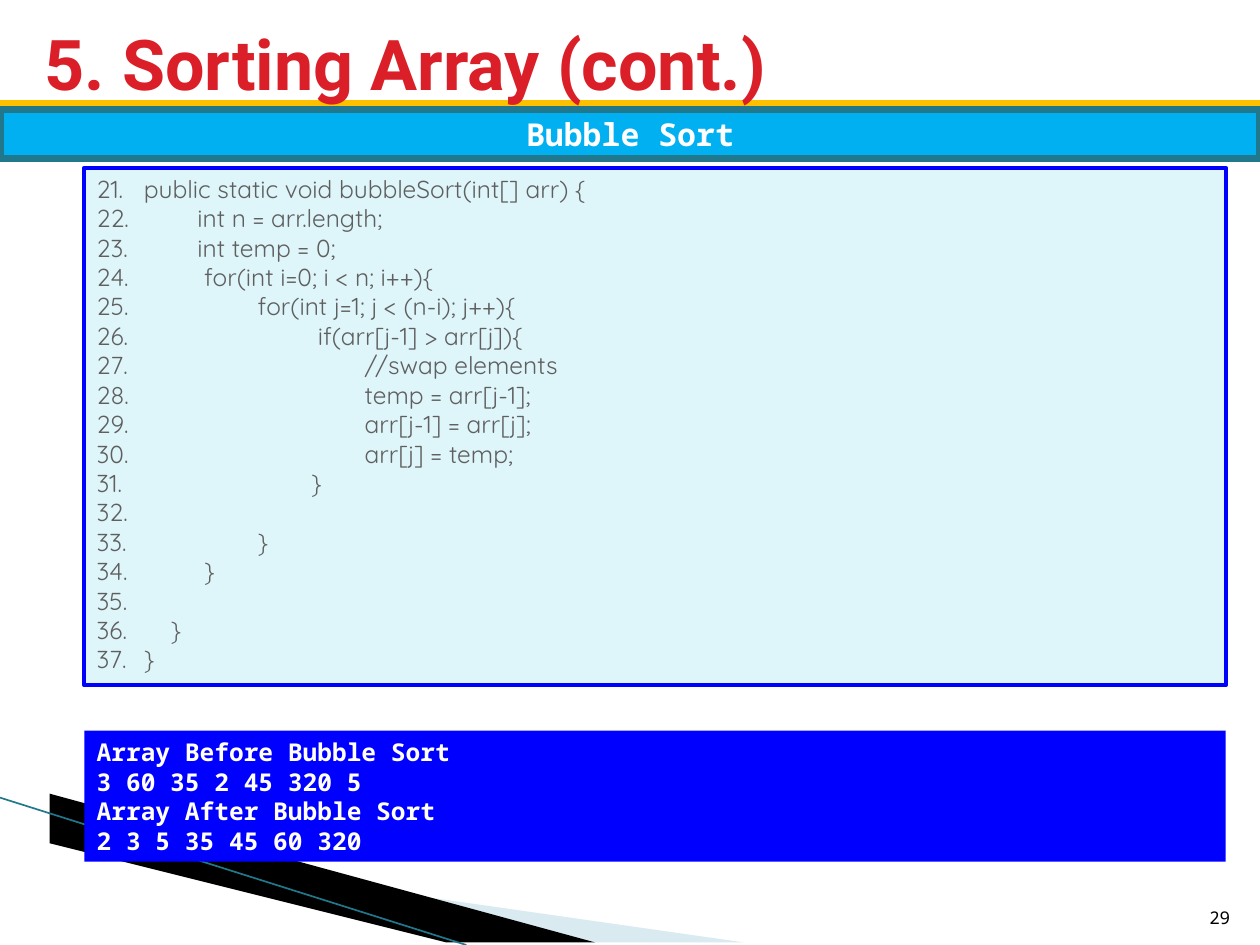
from lxml import etree
from pptx import Presentation
from pptx.dml.color import RGBColor
from pptx.enum.shapes import MSO_CONNECTOR, MSO_SHAPE
from pptx.enum.text import MSO_ANCHOR, MSO_AUTO_SIZE, PP_ALIGN
from pptx.oxml.ns import qn
from pptx.util import Cm, Pt

RECTANGLE = MSO_SHAPE.RECTANGLE
STRAIGHT = MSO_CONNECTOR.STRAIGHT
TOP, MIDDLE, BOTTOM = MSO_ANCHOR.TOP, MSO_ANCHOR.MIDDLE, MSO_ANCHOR.BOTTOM
LEFT, CENTER, RIGHT = PP_ALIGN.LEFT, PP_ALIGN.CENTER, PP_ALIGN.RIGHT
MONO = "Noto Sans Mono"
FIRST_LINE_NUMBER = 21

CODE = """\
public static void bubbleSort(int[] arr) {
        int n = arr.length;
        int temp = 0;
         for(int i=0; i < n; i++){
                 for(int j=1; j < (n-i); j++){
                          if(arr[j-1] > arr[j]){
                                 //swap elements
                                 temp = arr[j-1];
                                 arr[j-1] = arr[j];
                                 arr[j] = temp;
                         }
                          
                 }
         }
  
    }
}"""
OUTPUT = """\
Array Before Bubble Sort
3 60 35 2 45 320 5
Array After Bubble Sort
2 3 5 35 45 60 320"""


def rgb(color):
    return RGBColor.from_string(color)


def write(shape, text, size, font, color, bold=False, align=LEFT, anchor=MIDDLE):
    frame = shape.text_frame
    frame.word_wrap = True
    frame.auto_size = MSO_AUTO_SIZE.NONE
    frame.vertical_anchor = anchor
    for index, line in enumerate(text.split("\n")):
        paragraph = frame.add_paragraph() if index else frame.paragraphs[0]
        paragraph.alignment = align
        run = paragraph.add_run()
        run.text = line
        run.font.size = Pt(size)
        run.font.name = font
        run.font.bold = bold
        run.font.color.rgb = rgb(color)


presentation = Presentation()
presentation.slide_width, presentation.slide_height = Cm(25.4), Cm(19.05)
slide = presentation.slides.add_slide(presentation.slide_layouts[5])
shapes = slide.shapes

# Corner wedges
wedges = [
    ("A0CBDC", 40, [(1.4, 16.54), (15.11, 19.05), (11.58, 19.05), (1.4, 16.51)]),
    ("000000", 100, [(1.35, 16.48), (11.61, 19.05), (9.45, 19.05), (1.37, 16.51)]),
]
for color, opacity, points in wedges:
    builder = shapes.build_freeform(*points[0], scale=Cm(1))
    builder.add_line_segments(points[1:], close=True)
    wedge = builder.convert_to_shape()
    wedge.shadow.inherit = False
    wedge.fill.solid()
    wedge.fill.fore_color.rgb = rgb(color)
    wedge.line.fill.background()
    if opacity < 100:
        fill_color = wedge._element.spPr.find(".//" + qn("a:srgbClr"))
        etree.SubElement(fill_color, qn("a:alpha"), val=str(opacity * 1000))

# Corner line and rule below the title
lines = [
    (0, 16.08, 9.4, 19.05, "21788D", 0.95),
    (0, 2.13, 25.4, 2.13, "FFC000", 6),
]
for x1, y1, x2, y2, color, width in lines:
    line = shapes.add_connector(STRAIGHT, Cm(x1), Cm(y1), Cm(x2), Cm(y2))
    line.line.color.rgb = rgb(color)
    line.line.width = Pt(width)
    etree.SubElement(line._element.spPr, qn("a:effectLst"))

# Title, brought in front of the rule
title = shapes.title
title.left, title.top, title.width, title.height = Cm(0.64), Cm(0.43), Cm(24.05), Cm(1.65)
write(title, "5. Sorting Array (cont.)", 40, "Roboto", "DA1F28", bold=True)
title._element.getparent().append(title._element)

# Slide number
number = shapes.add_textbox(Cm(24.03), Cm(17.81), Cm(1.02), Cm(1.02))
write(number, "29", 10, MONO, "000000", align=RIGHT, anchor=BOTTOM)

# Code, banner and output panels
panels = []
for left, top, width, height, fill, outline, outline_width in [
    (1.7, 3.38, 23.01, 10.44, "DEF5FA", "0000FF", 2.25),
    (0, 2.21, 25.4, 0.99, "00B0F0", "21788D", 4.33),
    (1.7, 14.73, 23.01, 2.64, "0000FF", None, 0),
]:
    panel = shapes.add_shape(RECTANGLE, Cm(left), Cm(top), Cm(width), Cm(height))
    panel.shadow.inherit = False
    panel.fill.solid()
    panel.fill.fore_color.rgb = rgb(fill)
    if outline:
        panel.line.color.rgb = rgb(outline)
        panel.line.width = Pt(outline_width)
    else:
        panel.line.fill.background()
    panels.append(panel)

code_panel, banner, output_panel = panels
write(code_panel, CODE, 14, "Quicksand", "5F5F5F", anchor=TOP)
write(banner, "Bubble Sort", 18, MONO, "FFFFFF", bold=True, align=CENTER)
write(output_panel, OUTPUT, 14, MONO, "FFFFFF", bold=True)

# Line numbers of the code
for paragraph in code_panel.text_frame.paragraphs:
    properties = paragraph._p.get_or_add_pPr()
    properties.set("marL", str(Cm(0.95)))
    properties.set("indent", str(-Cm(0.95)))
    etree.SubElement(properties, qn("a:buFont"), typeface="+mj-lt")
    etree.SubElement(properties, qn("a:buAutoNum"), type="arabicPeriod",
                     startAt=str(FIRST_LINE_NUMBER))

presentation.save("out.pptx")
